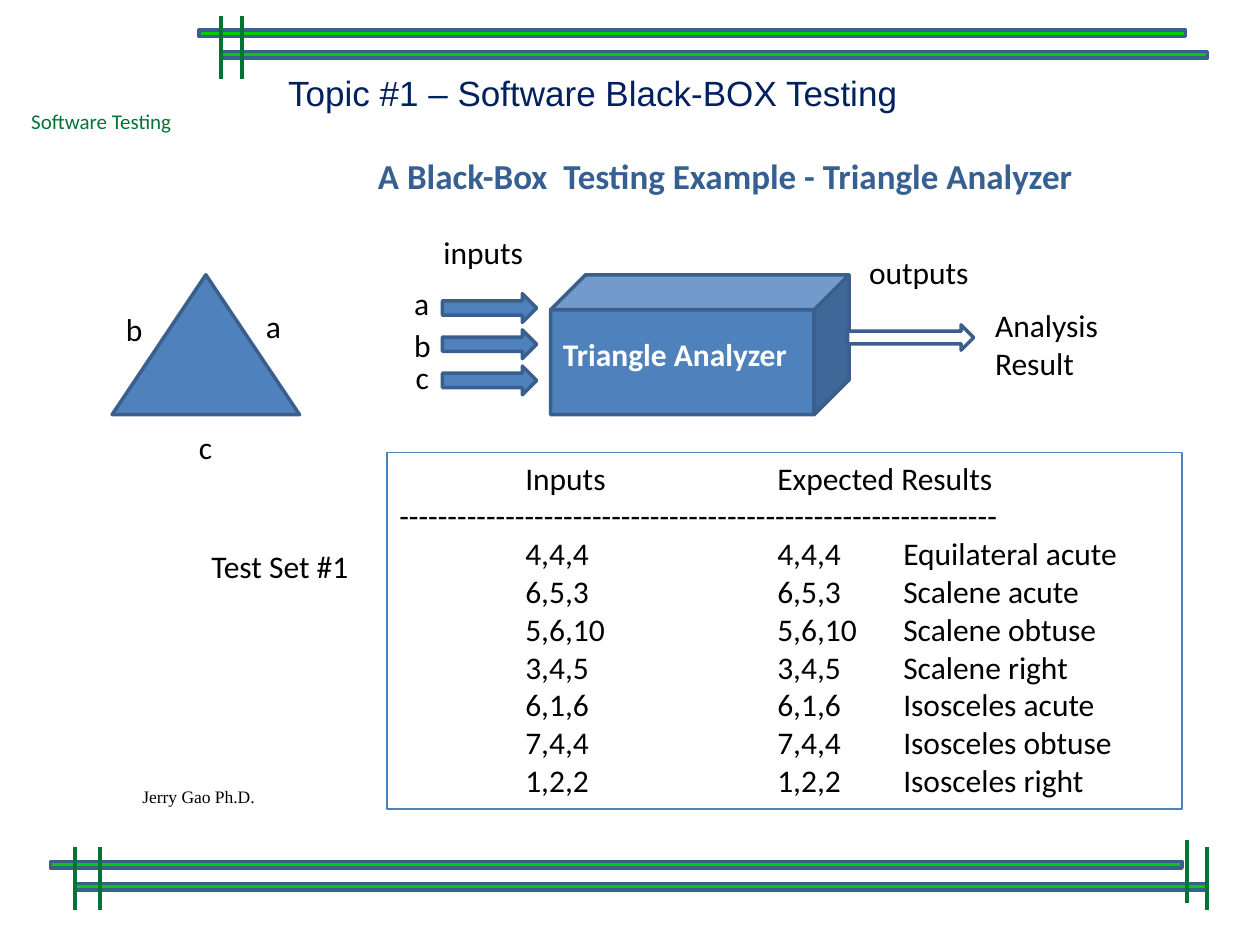
from dataclasses import dataclass

from lxml import etree
from pptx import Presentation
from pptx.dml.color import RGBColor
from pptx.enum.shapes import MSO_CONNECTOR, MSO_SHAPE
from pptx.enum.text import MSO_ANCHOR, PP_ALIGN
from pptx.oxml.ns import qn
from pptx.util import Cm, Pt

BAR = MSO_SHAPE.FLOWCHART_PROCESS
ARROW = MSO_SHAPE.RIGHT_ARROW
CUBE = MSO_SHAPE.CUBE
TRIANGLE = MSO_SHAPE.ISOSCELES_TRIANGLE
RECTANGLE = MSO_SHAPE.RECTANGLE
STRAIGHT = MSO_CONNECTOR.STRAIGHT
TOP = MSO_ANCHOR.TOP
LEFT = PP_ALIGN.LEFT


@dataclass(frozen=True)
class Theme:
    body_font: str = "Calibri"
    title_font: str = "Arial"
    author_font: str = "Times New Roman"
    black: str = "000000"
    white: str = "FFFFFF"
    navy: str = "002060"
    heading: str = "376092"
    blue: str = "4F81BD"
    outline: str = "3A5F8C"
    green: str = "00CC00"
    dark_green: str = "007434"
    title_size: int = 20
    body_size: int = 18
    course_size: int = 12
    author_size: int = 10
    outline_width: float = 2
    tick_width: float = 2.25
    frame_width: float = 0.75


class SlideBuilder:
    def __init__(self, slide, theme):
        self.slide = slide
        self.theme = theme

    def shape(self, kind, left, top, width, height, fill=None, line=None, line_width=None):
        shape = self.slide.shapes.add_shape(kind, Cm(left), Cm(top), Cm(width), Cm(height))
        shape.shadow.inherit = False
        if fill:
            shape.fill.solid()
            shape.fill.fore_color.rgb = RGBColor.from_string(fill)
        else:
            shape.fill.background()
        if line:
            shape.line.color.rgb = RGBColor.from_string(line)
            shape.line.width = Pt(line_width or self.theme.outline_width)
        else:
            shape.line.fill.background()
        return shape

    def tick(self, x, top, height=1.27):
        line = self.slide.shapes.add_connector(STRAIGHT, Cm(x), Cm(top), Cm(x), Cm(top + height))
        line.line.color.rgb = RGBColor.from_string(self.theme.dark_green)
        line.line.width = Pt(self.theme.tick_width)
        etree.SubElement(line._element.spPr, qn("a:effectLst"))

    def set_text(self, box, lines, size=None, color=None, font=None, bold=False, tabs=()):
        frame = box.text_frame
        frame.word_wrap = True
        frame.vertical_anchor = TOP
        frame.margin_right = 0
        for index, line in enumerate(lines):
            para = frame.paragraphs[0] if index == 0 else frame.add_paragraph()
            para.text = line
            para.alignment = LEFT
            if tabs:
                tab_list = etree.SubElement(para._p.get_or_add_pPr(), qn("a:tabLst"))
                for position in tabs:
                    etree.SubElement(tab_list, qn("a:tab"), pos=str(Cm(position)), algn="l")
            para.font.name = font or self.theme.body_font
            para.font.size = Pt(size or self.theme.body_size)
            para.font.bold = bold
            para.font.color.rgb = RGBColor.from_string(color or self.theme.black)

    def text(self, words, left, top, width, height=1.02, **style):
        box = self.slide.shapes.add_textbox(Cm(left), Cm(top), Cm(width), Cm(height))
        self.set_text(box, words.split("\n"), **style)


def main():
    theme = Theme()
    deck = Presentation()
    deck.slide_width, deck.slide_height = Cm(25.4), Cm(19.05)
    page = SlideBuilder(deck.slides.add_slide(deck.slide_layouts[6]), theme)

    # Green rules and ticks at the top and bottom
    for left, top, width in ((4.01, 0.61, 19.89), (4.45, 1.04, 19.89),
                             (1.02, 17.37, 22.81), (1.52, 17.81, 22.81)):
        page.shape(BAR, left, top, width, 0.13, theme.green, theme.outline)
    for x, top in ((4.45, 0.33), (4.88, 0.33), (1.52, 17.07), (2.01, 17.07),
                   (24.33, 17.07), (23.93, 16.94)):
        page.tick(x, top)

    # Titles, course and author
    page.text("Software Testing", 0.38, 2.06, 3.38, 0.76,
              size=theme.course_size, color=theme.dark_green)
    title = page.shape(RECTANGLE, 5.56, 1.32, 14.88, 1.12, theme.white)
    page.set_text(title, ["Topic #1 – Software Black-BOX Testing"],
                  size=theme.title_size, color=theme.navy, font=theme.title_font)
    page.text("Jerry Gao Ph.D.", 2.62, 15.72, 3.07, 0.69,
              size=theme.author_size, font=theme.author_font)
    page.text("A Black-Box  Testing Example - Triangle Analyzer", 7.37, 3, 14.66, 1.12,
              size=theme.title_size, color=theme.heading, bold=True)

    # Analyzer box
    page.shape(CUBE, 11.1, 5.54, 6.02, 2.82, theme.blue, theme.outline)
    page.text("Triangle Analyzer", 11.1, 6.63, 5.05, color=theme.white, bold=True)

    # Triangle with its sides
    page.shape(TRIANGLE, 2.26, 5.54, 3.78, 2.82, theme.blue, theme.outline)
    for side, left, top in (("b", 2.29, 6.12), ("a", 5.11, 6.07), ("c", 3.76, 8.51)):
        page.text(side, left, top, 0.84)

    # Input arrows
    inputs = (("a", 8.1, 5.61), ("b", 8.1, 6.45), ("c", 8.13, 7.09))
    for index, (side, left, top) in enumerate(inputs):
        page.shape(ARROW, 8.92, 5.92 + index * 0.73, 1.9, 0.58, theme.blue, theme.outline)
        page.text(side, left, top, 0.84)
    page.text("inputs", 8.69, 4.57, 2.13)

    # Output arrow
    page.shape(ARROW, 17.09, 6.55, 2.54, 0.51, theme.white, theme.outline)
    page.text("outputs", 17.27, 4.98, 2.54)
    page.text("Analysis\nResult", 19.81, 6.05, 2.62, 1.8)

    # Test set with expected results
    cases = (
        ("4,4,4", "Equilateral acute"),
        ("6,5,3", "Scalene acute"),
        ("5,6,10", "Scalene obtuse"),
        ("3,4,5", "Scalene right"),
        ("6,1,6", "Isosceles acute"),
        ("7,4,4", "Isosceles obtuse"),
        ("1,2,2", "Isosceles right"),
    )
    rows = ["\tInputs\tExpected Results", "-" * 62]
    rows += [f"\t{sides}\t{sides}\t{result}" for sides, result in cases]
    results = page.shape(RECTANGLE, 7.8, 9.12, 16.03, 7.19,
                         line=theme.blue, line_width=theme.frame_width)
    page.set_text(results, rows, tabs=(2.54, 7.62, 10.16))
    page.text("Test Set #1", 4.01, 10.9, 3.3)

    deck.save("out.pptx")


if __name__ == "__main__":
    main()
